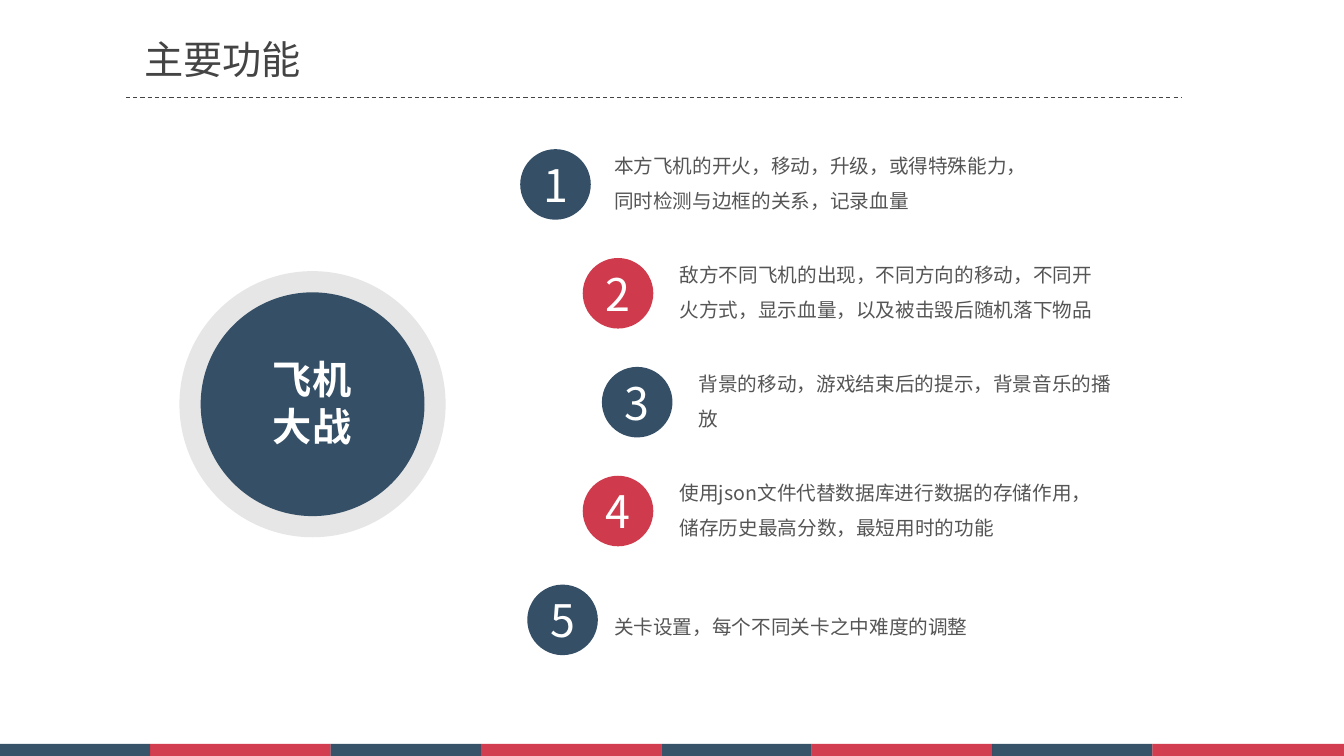
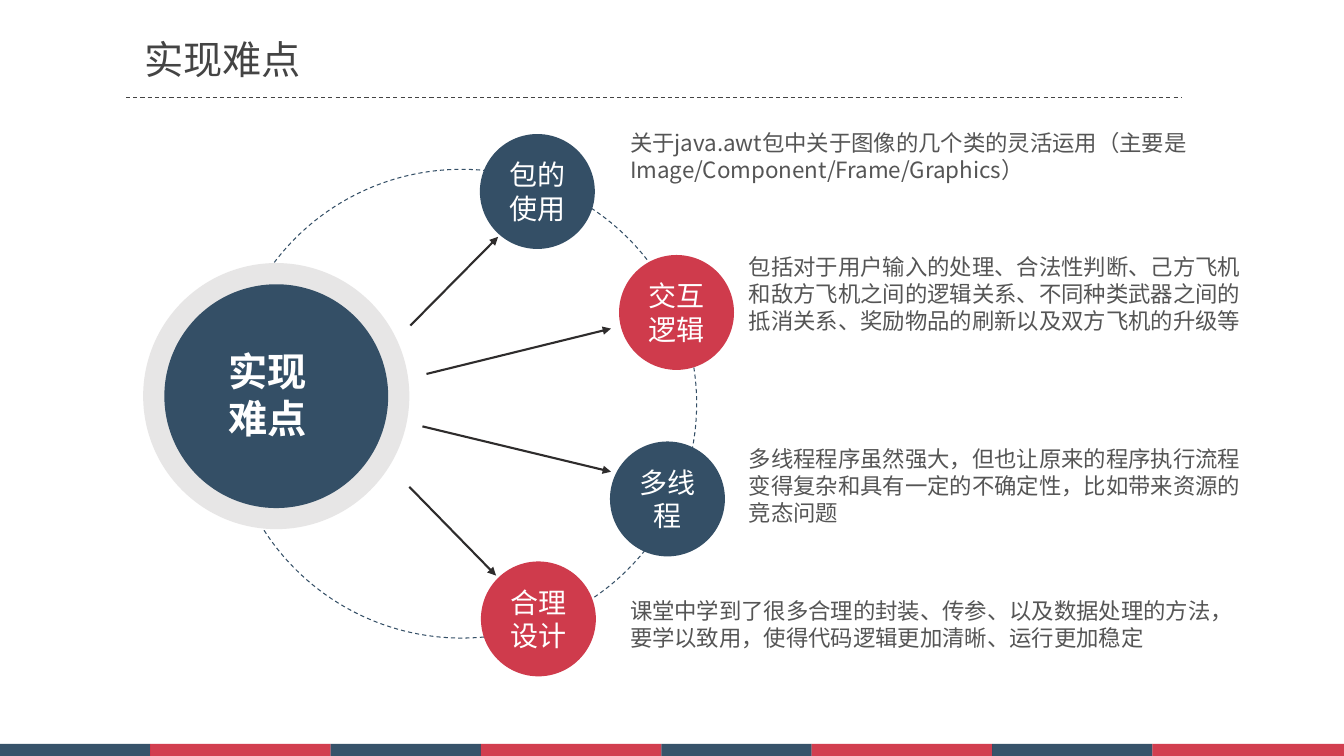
import dataclasses
import itertools
import typing

import lxml.etree
import pptx
import pptx.dml.color
import pptx.enum.dml
import pptx.enum.shapes
import pptx.enum.text
import pptx.oxml.ns
import pptx.shapes.autoshape
import pptx.shapes.connector
import pptx.slide
import pptx.text.text
import pptx.util

Inches = pptx.util.Inches
Align = pptx.enum.text.PP_ALIGN
Anchor = pptx.enum.text.MSO_ANCHOR
AutoSize = pptx.enum.text.MSO_AUTO_SIZE
Shape = pptx.enum.shapes.MSO_SHAPE


# Theme
@dataclasses.dataclass(frozen=True)
class Theme:
    font: str = "Noto Sans CJK SC"
    navy: str = "344F66"
    red: str = "CF3B4C"
    band_navy: str = "062845"
    band_red: str = "C70E23"
    halo: str = "E7E6E6"
    white: str = "FFFFFF"
    heading: str = "444444"
    body: str = "555555"
    arrow: str = "2E2C2C"
    title_size: int = 28
    number_size: int = 32
    topic_size: int = 20
    note_size: int = 16
    item_size: int = 14


THEME = Theme()


class Box(typing.NamedTuple):
    left: float
    top: float
    width: float
    height: float


class TextStyle(typing.NamedTuple):
    size: int
    color: str
    bold: bool = False
    align: Align = Align.LEFT
    spacing: float | None = None


@dataclasses.dataclass(frozen=True)
class Feature:
    text: str
    circle_left: float
    text_left: float
    text_drop: float = -0.07
    text_height: float = 0.71


@dataclasses.dataclass(frozen=True)
class Topic:
    label: str
    left: float
    top: float
    arrow_start: tuple[float, float]
    arrow_end: tuple[float, float]
    note: str
    note_box: Box


TITLE_STYLE = TextStyle(THEME.title_size, THEME.heading)
HUB_STYLE = TextStyle(THEME.title_size, THEME.white, True, Align.CENTER)
NUMBER_STYLE = TextStyle(THEME.number_size, THEME.white, align=Align.CENTER)
TOPIC_STYLE = TextStyle(THEME.topic_size, THEME.white, align=Align.CENTER)
NOTE_STYLE = TextStyle(THEME.note_size, THEME.body)
ITEM_STYLE = TextStyle(THEME.item_size, THEME.body, spacing=1.5)
FRAME = {"word_wrap": True, "vertical_anchor": Anchor.TOP}
NO_MARGINS = dict.fromkeys(
    ("margin_left", "margin_top", "margin_right", "margin_bottom"), 0)


# Drawing helpers
def rgb(color: str) -> pptx.dml.color.RGBColor:
    return pptx.dml.color.RGBColor.from_string(color)


def apply(target: object, values: dict[str, object]) -> None:
    for name, value in values.items():
        setattr(target, name, value)


def add_xml(parent: lxml.etree._Element, tag: str, **attributes: str) -> None:
    lxml.etree.SubElement(parent, pptx.oxml.ns.qn(tag), attributes)


def write(frame: pptx.text.text.TextFrame, text: str, style: TextStyle,
          layout: dict[str, object]) -> None:
    apply(frame, FRAME | layout)
    para = frame.paragraphs[0]
    apply(para, {"alignment": style.align, "line_spacing": style.spacing})
    span = para.add_run()
    span.text = text
    apply(span.font, {"size": pptx.util.Pt(style.size), "bold": style.bold,
                      "name": THEME.font})
    span.font.color.rgb = rgb(style.color)
    add_xml(span.font._element, "a:ea", typeface=THEME.font)


def add_text(page: pptx.slide.Slide, box: Box, text: str, style: TextStyle,
             layout: dict[str, object]) -> None:
    text_box = page.shapes.add_textbox(*map(Inches, box))
    write(text_box.text_frame, text, style,
          {"auto_size": AutoSize.SHAPE_TO_FIT_TEXT} | layout)


def add_filled(page: pptx.slide.Slide, kind: Shape, box: Box,
               color: str) -> pptx.shapes.autoshape.Shape:
    shape = page.shapes.add_shape(kind, *map(Inches, box))
    shape.shadow.inherit = False
    shape.fill.solid()
    shape.fill.fore_color.rgb = rgb(color)
    shape.line.fill.background()
    return shape


def add_disc(page: pptx.slide.Slide, left: float, top: float, size: float,
             color: str, label: str, style: TextStyle) -> None:
    disc = add_filled(page, Shape.OVAL, Box(left, top, size, size), color)
    write(disc.text_frame, label, style,
          NO_MARGINS | {"vertical_anchor": Anchor.MIDDLE})


def add_line(page: pptx.slide.Slide, start: tuple[float, float],
             end: tuple[float, float], color: str,
             width: float) -> pptx.shapes.connector.Connector:
    line = page.shapes.add_connector(
        pptx.enum.shapes.MSO_CONNECTOR.STRAIGHT, *map(Inches, start + end))
    line.line.color.rgb = rgb(color)
    line.line.width = pptx.util.Pt(width)
    add_xml(line._element.spPr, "a:effectLst")
    return line


def add_hub(page: pptx.slide.Slide, left: float, top: float, label: str,
            label_left: float) -> None:
    halo, core, inset = 2.64, 2.22, 0.21
    add_filled(page, Shape.OVAL, Box(left, top, halo, halo), THEME.halo)
    add_filled(page, Shape.OVAL, Box(left + inset, top + inset, core, core),
               THEME.navy)
    add_text(page, Box(label_left, top + 0.79, 1.31, 1.04), label, HUB_STYLE, {})


# Shared layout: title place, rule and footer band
def furnish_layout(layout: pptx.slide.SlideLayout,
                   page: pptx.slide.Slide) -> None:
    apply(layout.placeholders[0], {
        "left": Inches(1.43), "top": Inches(0.35),
        "width": Inches(3.99), "height": Inches(0.47)})
    rule = add_line(page, (1.25, 0.97), (11.72, 0.97), THEME.heading, 0.75)
    rule.line.dash_style = pptx.enum.dml.MSO_LINE.DASH
    parts = [rule]
    widths = [1.49, 1.79] * 3 + [1.59, 1.9]
    lefts = itertools.accumulate(widths, initial=0)
    colors = itertools.cycle((THEME.band_navy, THEME.band_red))
    for left, width, color in zip(lefts, widths, colors):
        band = add_filled(page, Shape.RECTANGLE,
                          Box(left, 7.38, width, 0.12), color)
        fill = band._element.spPr.find(".//" + pptx.oxml.ns.qn("a:srgbClr"))
        add_xml(fill, "a:alpha", val="80000")
        parts.append(band)
    for number, part in enumerate(parts, start=101):
        part._element.xpath(".//p:cNvPr")[0].set("id", str(number))
        layout.shapes._spTree.append(part._element)


def set_title(page: pptx.slide.Slide, text: str) -> None:
    write(page.shapes.title.text_frame, text, TITLE_STYLE,
          NO_MARGINS | {"auto_size": AutoSize.NONE})


# Slide content
FEATURES = [
    Feature("本方飞机的开火，移动，升级，或得特殊能力，同时检测与边框的关系，记录血量",
            5.16, 6.09),
    Feature("敌方不同飞机的出现，不同方向的移动，不同开火方式，显示血量，"
            "以及被击毁后随机落下物品", 5.78, 6.74),
    Feature("背景的移动，游戏结束后的提示，背景音乐的播放", 5.97, 6.93),
    Feature("使用json文件代替数据库进行数据的存储作用，储存历史最高分数，"
            "最短用时的功能", 5.78, 6.74),
    Feature("关卡设置，每个不同关卡之中难度的调整", 5.23, 6.09, 0.18, 0.35),
]

TOPICS = [
    Topic("包的使用", 4.76, 1.33, (4.07, 3.23), (4.94, 2.35),
          "关于java.awt包中关于图像的几个类的灵活运用"
          "（主要是Image/Component/Frame/Graphics）",
          Box(6.15, 1.23, 6.28, 0.64)),
    Topic("交互逻辑", 6.14, 2.53, (4.23, 3.71), (6.06, 3.26),
          "包括对于用户输入的处理、合法性判断、己方飞机和敌方飞机之间的逻辑关系、"
          "不同种类武器之间的抵消关系、奖励物品的刷新以及双方飞机的升级等",
          Box(7.33, 2.46, 5.1, 0.91)),
    Topic("多线程", 6.05, 4.38, (4.19, 4.23), (6.06, 4.68),
          "多线程程序虽然强大，但也让原来的程序执行流程变得复杂和具有一定的不确定性，"
          "比如带来资源的竞态问题",
          Box(7.33, 4.37, 5.25, 0.91)),
    Topic("合理设计", 4.77, 5.57, (4.06, 4.83), (4.92, 5.71),
          "课堂中学到了很多合理的封装、传参、以及数据处理的方法，要学以致用，"
          "使得代码逻辑更加清晰、运行更加稳定",
          Box(6.15, 5.88, 6.28, 0.64)),
]


# Slide 1: main features
def draw_features(page: pptx.slide.Slide) -> None:
    set_title(page, "主要功能")
    colors = itertools.cycle((THEME.navy, THEME.red))
    for index, (feature, color) in enumerate(zip(FEATURES, colors)):
        top = 1.48 + 1.08 * index
        add_text(page, Box(feature.text_left, top + feature.text_drop, 4.12,
                           feature.text_height),
                 feature.text, ITEM_STYLE, NO_MARGINS)
        add_disc(page, feature.circle_left, top, 0.7, color, str(index + 1),
                 NUMBER_STYLE)
    add_hub(page, 1.78, 2.69, "飞机大战", 2.44)


# Slide 2: difficulties
def draw_difficulties(page: pptx.slide.Slide) -> None:
    set_title(page, "实现难点")
    orbit = add_filled(page, Shape.OVAL, Box(2.25, 1.68, 4.66, 4.65), THEME.white)
    orbit.fill.background()
    orbit.line.color.rgb = rgb(THEME.navy)
    apply(orbit.line, {"width": pptx.util.Pt(0),
                       "dash_style": pptx.enum.dml.MSO_LINE.DASH})
    add_hub(page, 1.42, 2.61, "实现难点", 2)
    colors = itertools.cycle((THEME.navy, THEME.red))
    for topic, color in zip(TOPICS, colors):
        arrow = add_line(page, topic.arrow_start, topic.arrow_end,
                         THEME.arrow, 1.5)
        add_xml(arrow.line._get_or_add_ln(), "a:tailEnd", type="triangle")
        add_disc(page, topic.left, topic.top, 1.14, color, topic.label,
                 TOPIC_STYLE)
        add_text(page, topic.note_box, topic.note, NOTE_STYLE, {})


# Build the deck
deck = pptx.Presentation()
apply(deck, {"slide_width": Inches(13.33), "slide_height": Inches(7.5)})
title_layout = deck.slide_layouts[5]
pages = [deck.slides.add_slide(title_layout) for _ in range(2)]
furnish_layout(title_layout, pages[0])
for draw, page in zip((draw_features, draw_difficulties), pages):
    draw(page)
deck.save("out.pptx")
